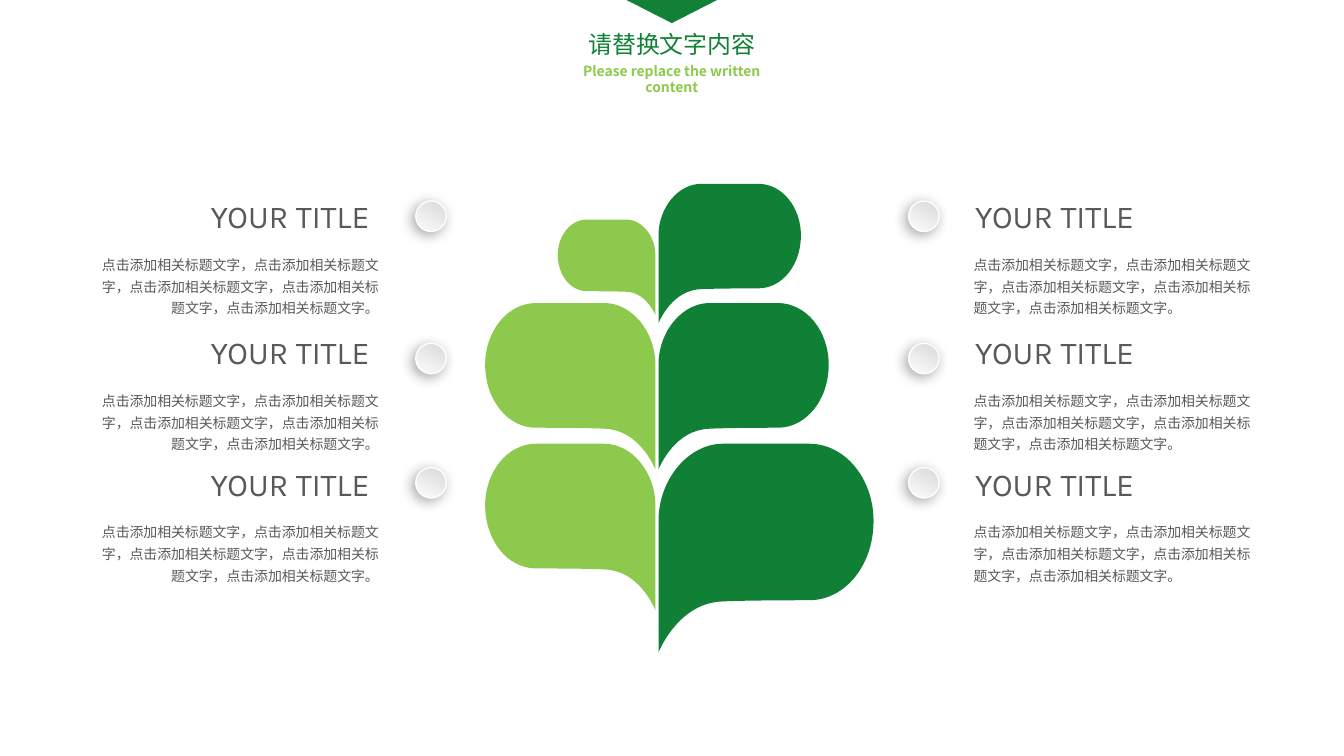
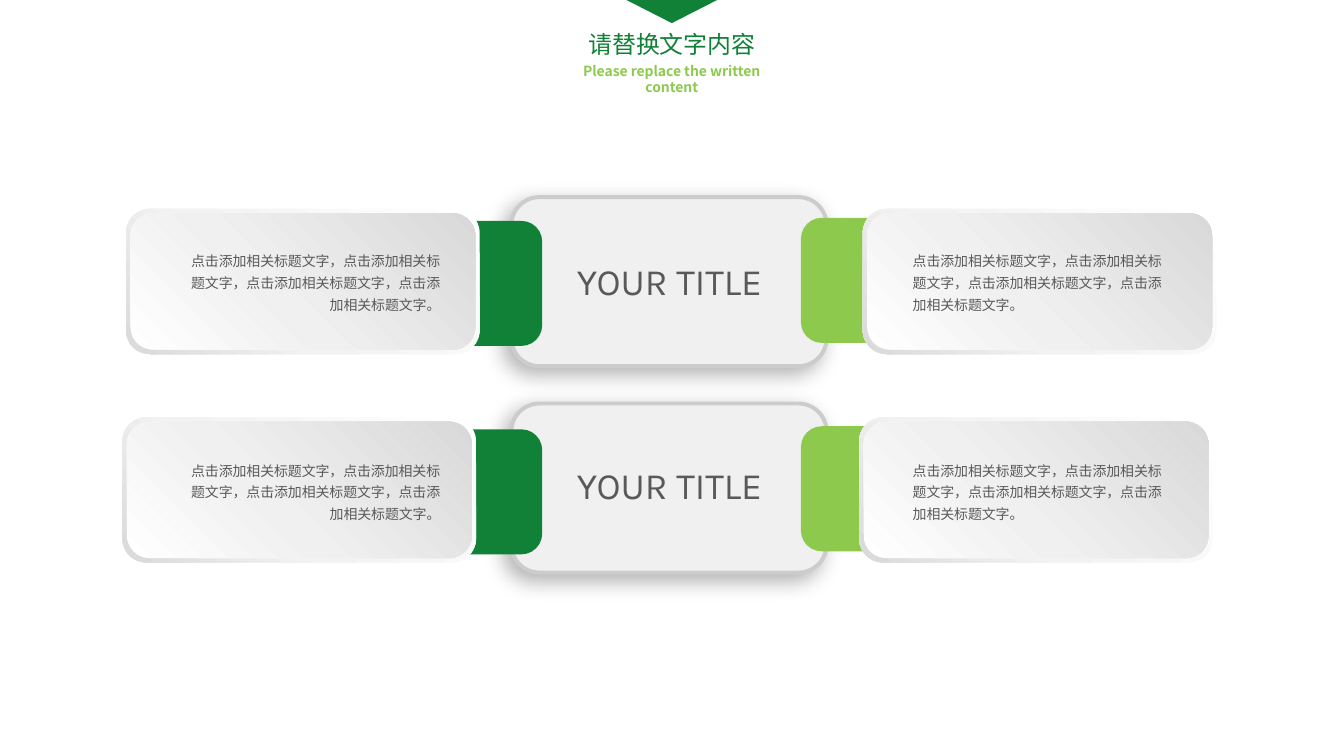
from dataclasses import dataclass

from lxml.etree import SubElement
from pptx import Presentation
from pptx.dml.color import RGBColor
from pptx.enum.shapes import MSO_SHAPE as SHAPE
from pptx.enum.text import MSO_ANCHOR as ANCHOR, MSO_AUTO_SIZE as AUTO, PP_ALIGN as ALIGN
from pptx.oxml.ns import qn
from pptx.util import Pt


@dataclass(frozen=True)
class Theme:
    green: str = "108136"
    leaf_green: str = "108036"
    lime: str = "8CC94C"
    text: str = "595959"
    white: str = "FFFFFF"
    rim: str = "CCCCCC"
    knob: tuple = ((0, "D9D9D9"), (100, "FCFCFC"))
    panel: tuple = ((0, "F0F0F0"), (100, "F1F1F1"))
    card_edge: tuple = ((0, "FFFFFF"), (0, "FFFFFF"), (62, "F2F2F2"), (100, "D9D9D9"))
    card_face: tuple = ((0, "FFFFFF"), (0, "FFFFFF"), (42, "F0F0F0"), (100, "D9D9D9"))
    latin: str = "Karla"
    cjk: str = "Noto Sans CJK SC"
    small: float = 10.5
    title: float = 18
    heading: float = 24
    large: float = 28


T = Theme()

# Unit leaf: start point, then cubic segments; x runs outward from the stem
LEAF_START = (0.7, 0)
LEAF_CURVES = [
    ((0.3, 0), (0.3, 0), (0.3, 0)),
    ((0.3, 0), (0.3, 0), (0.3, 0)),
    ((0.3, 0), (0.3, 0), (0.3, 0)),
    ((0.14, 0), (0, 0.17), (0, 0.37)),
    ((0, 0.58), (0, 1), (0, 1)),
    ((0, 1), (0.08, 0.79), (0.26, 0.76)),
    ((0.28, 0.75), (0.7, 0.75), (0.7, 0.75)),
    ((0.87, 0.75), (1, 0.58), (1, 0.37)),
    ((1, 0.17), (0.87, 0), (0.7, 0)),
]


def write(tf, text, size=T.small, font=T.cjk, color=T.text, bold=False,
          align=ALIGN.LEFT, spacing=1.0, inset=7.2):
    """Put one formatted paragraph into a text frame."""
    tf.word_wrap = True
    tf.margin_left = tf.margin_right = Pt(inset)
    tf.margin_top = tf.margin_bottom = Pt(3.6)
    p = tf.paragraphs[0]
    p.alignment, p.line_spacing = align, spacing
    r = p.add_run()
    r.text = text
    f = r.font
    f.size, f.bold, f.name = Pt(size), bold, font
    f.color.rgb = RGBColor.from_string(color)
    SubElement(r._r.get_or_add_rPr(), qn("a:ea")).set("typeface", font)


class Deck:
    def __init__(self, width, height):
        self.prs = Presentation()
        self.prs.slide_width, self.prs.slide_height = Pt(width), Pt(height)
        self.s = None

    def slide(self, title, subtitle):
        """Start a slide with the shared header."""
        self.s = self.prs.slides.add_slide(self.prs.slide_layouts[5])
        sp = self.s.shapes.title
        sp.left, sp.top, sp.width, sp.height = Pt(435.3), Pt(18.7), Pt(141.8), Pt(28.8)
        sp.text_frame.vertical_anchor = ANCHOR.MIDDLE
        sp.text_frame.auto_size = AUTO.NONE
        write(sp.text_frame, title, size=T.title, color=T.green, align=ALIGN.CENTER)
        self.text(424, 44.6, 164.2, 20.2, subtitle, color=T.lime, bold=True,
                  align=ALIGN.CENTER, spacing=0.96)
        self.shape(SHAPE.ISOSCELES_TRIANGLE, 469.4, -1.3, 73.4, 18.7, T.green).rotation = 180

    def text(self, x, y, w, h, text, **fmt):
        tf = self.s.shapes.add_textbox(Pt(x), Pt(y), Pt(w), Pt(h)).text_frame
        write(tf, text, **fmt)
        tf.auto_size = AUTO.SHAPE_TO_FIT_TEXT

    def paint(self, sp, fill, angle=0, line=None, shadow=None):
        """Fill is a colour or gradient stops; the angle runs clockwise."""
        sp.shadow.inherit = False
        if isinstance(fill, str):
            sp.fill.solid()
            sp.fill.fore_color.rgb = RGBColor.from_string(fill)
        else:
            sp.fill.gradient()
            sp.fill.gradient_angle = 360 - angle
            stops = sp._element.spPr.find(qn("a:gradFill")).find(qn("a:gsLst"))
            for gs in list(stops):
                stops.remove(gs)
            for pos, color in fill:
                gs = SubElement(stops, qn("a:gs"), pos=str(pos * 1000))
                SubElement(gs, qn("a:srgbClr"), val=color)
        if line:
            sp.line.color.rgb = RGBColor.from_string(line[0])
            sp.line.width = Pt(line[1])
        else:
            sp.line.fill.background()
        if shadow:
            alpha, blur, dist, direction = shadow
            effects = sp._element.spPr.find(qn("a:effectLst"))
            outer = SubElement(effects, qn("a:outerShdw"), blurRad=str(Pt(blur)), dist=str(Pt(dist)),
                               dir=str(direction * 60000), algn="ctr", rotWithShape="0")
            color = SubElement(outer, qn("a:srgbClr"), val="000000")
            SubElement(color, qn("a:alpha"), val=str(alpha * 1000))
        return sp

    def shape(self, kind, x, y, w, h, fill, parent=None, **style):
        shapes = (parent or self.s).shapes
        return self.paint(shapes.add_shape(kind, Pt(x), Pt(y), Pt(w), Pt(h)), fill, **style)

    def leaf(self, stem, y, w, h, fill, side):
        """Side is 1 for a leaf right of the stem and -1 for one left of it."""
        corners = [(Pt(stem + side * w * px), Pt(y + h * py))
                   for px, py in [LEAF_START] + [curve[-1] for curve in LEAF_CURVES]]
        fb = self.s.shapes.build_freeform(*corners[0], scale=1.0)
        fb.add_line_segments(corners[1:], close=True)
        sp = self.paint(fb.convert_to_shape(), fill)
        # Turn each straight segment into its curve
        outline = next(sp._element.iter(qn("a:path")))
        for seg, curve in zip(outline.findall(qn("a:lnTo")), LEAF_CURVES):
            bezier = SubElement(outline, qn("a:cubicBezTo"))
            for px, py in curve:
                local = px if side > 0 else 1 - px
                SubElement(bezier, qn("a:pt"), x=str(int(local * sp.width)), y=str(int(py * sp.height)))
            outline.replace(seg, bezier)

    def knob(self, x, y):
        self.shape(SHAPE.OVAL, x, y, 23, 23, T.knob, angle=120,
                   line=(T.white, 1), shadow=(34, 10, 3, 136))

    def plate(self, x, y, w, h, border, edge, face):
        """A rounded edge with a smaller rounded face, grouped."""
        g = self.s.shapes.add_group_shape()
        for inset, fill, angle in [(0, edge, 135), (border, face, 315)]:
            self.shape(SHAPE.ROUNDED_RECTANGLE, x + inset, y + inset, w - 2 * inset, h - 2 * inset,
                       fill, parent=g, angle=angle)


TITLE, SUBTITLE = "请替换文字内容", "Please replace the written content"
HEADING = "YOUR TITLE"


def sentence(times):
    return "，".join(["点击添加相关标题文字"] * times) + "。"


def tree_slide(d):
    d.slide(TITLE, SUBTITLE)
    # Leaves
    for y, w, h in [(165.4, 73.5, 72), (228.3, 128.2, 125.3), (334.3, 128.2, 125.3)]:
        d.leaf(493.7, y, w, h, T.lime, -1)
    for y, w, h in [(334.3, 162, 157.2), (138.5, 107.3, 105), (228.3, 128.2, 125.3)]:
        d.leaf(496.1, y, w, h, T.leaf_green, 1)
    # Knobs, headings and texts on both sides
    for knob_y, y in [(151.4, 144.7), (258.6, 247), (352.2, 346.1)]:
        for knob_x, head_x, body_x, align in [(313.2, 94.8, 67.5, ALIGN.RIGHT),
                                              (684.5, 726.8, 727, ALIGN.LEFT)]:
            d.knob(knob_x, knob_y)
            d.text(head_x, y, 191.5, 36.7, HEADING, size=T.heading, font=T.latin,
                   align=align, inset=7.9)
            d.text(body_x, y + 41.3, 224.6, 56.2, sentence(5), align=align, spacing=1.3, inset=6.5)


def panel_slide(d):
    d.slide(TITLE, SUBTITLE)
    # Centre panels
    for y in (148.5, 304):
        d.shape(SHAPE.ROUNDED_RECTANGLE, 385.2, y, 237.6, 127.4, T.panel, angle=45,
                line=(T.rim, 3), shadow=(30, 16, 7, 135))
    # Tabs and cards; the lower row sits slightly further left
    for tab_x, tab_y, color, card_x in [(179, 166.4, T.green, 95), (603.4, 164.1, T.lime, 650)]:
        for row in (0, 1):
            d.plate(tab_x, tab_y + 157 * row, 229.5, 94.2, 2.8, color, color)
        for row in (0, 1):
            d.plate(card_x - 2.7 * row, 157.4 + 157 * row, 266.4, 109.3, 3.3, T.card_edge, T.card_face)
    # Texts
    for head_y, body_y in [(190.8, 183.1), (344.9, 340.9)]:
        d.text(426.7, head_y, 205.2, 41.8, HEADING, size=T.large, font=T.latin, inset=7.9)
        for x, align in [(133.2, ALIGN.RIGHT), (679.7, ALIGN.LEFT)]:
            d.text(x, body_y, 206.6, 57.6, sentence(4), align=align, spacing=1.3, inset=7.9)


def main():
    d = Deck(1012.5, 569.5)
    tree_slide(d)
    panel_slide(d)
    d.prs.save("out.pptx")


if __name__ == "__main__":
    main()
